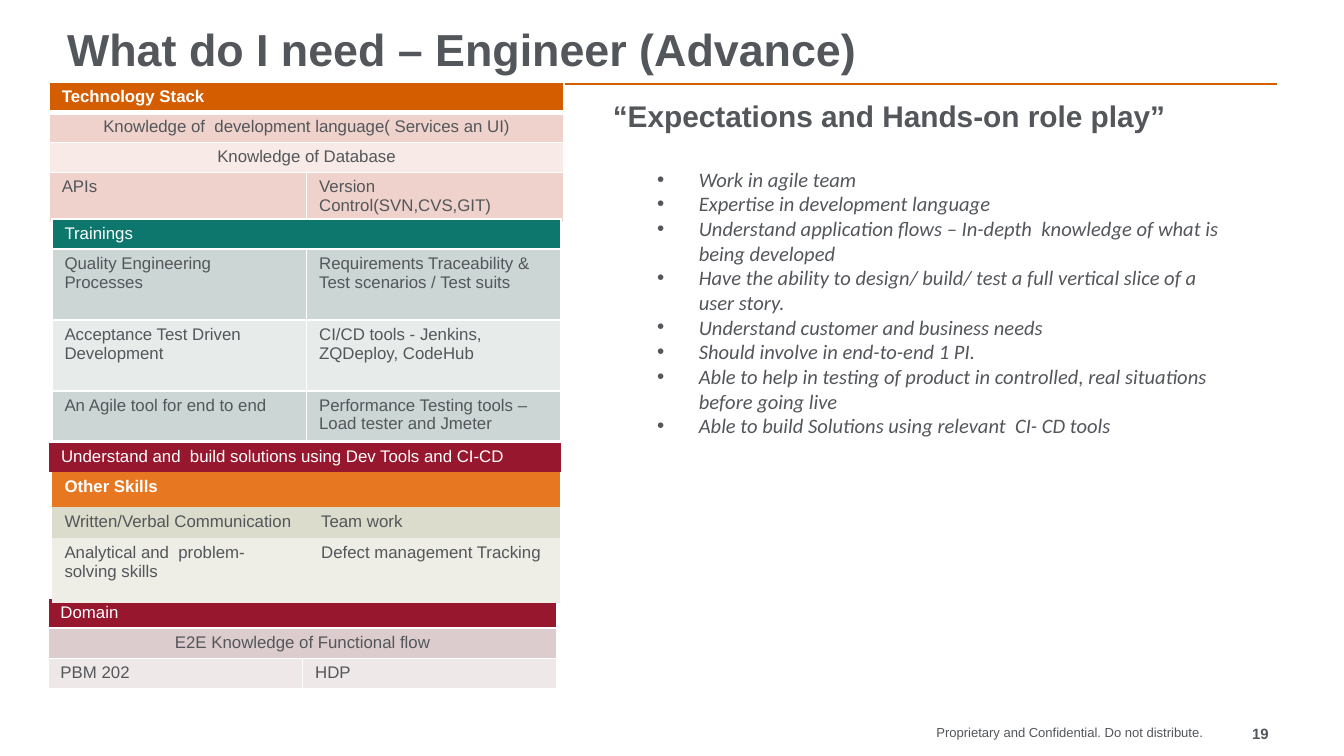
from dataclasses import dataclass

from lxml.etree import SubElement
from pptx import Presentation
from pptx.dml.color import RGBColor
from pptx.enum.shapes import MSO_CONNECTOR
from pptx.enum.text import MSO_ANCHOR, PP_ALIGN
from pptx.oxml import parse_xml
from pptx.oxml.ns import nsdecls, qn
from pptx.util import Emu, Inches, Pt

COLORS = {
    "text": "53565A", "white": "FFFFFF", "rule": "D45D00",
    "orange": "E87722", "teal": "0D776E", "maroon": "96172E",
    "rose": "EFD2CC", "pale rose": "F7EAE7",
    "mist": "CCD6D5", "pale mist": "E7ECEB",
    "olive": "DBDCCC", "pale olive": "EEEEE7",
    "mauve": "DDCCCD", "pale mauve": "EFE8E8",
}
SLIDE_WIDTH = Inches(10)
SLIDE_HEIGHT = Emu(SLIDE_WIDTH * 9 // 16)
GRID_COLUMNS, GRID_ROWS = 100, 56.25


def across(columns: float) -> Emu:
    return Emu(round(SLIDE_WIDTH * columns / GRID_COLUMNS))


def down(rows: float) -> Emu:
    return Emu(round(SLIDE_HEIGHT * rows / GRID_ROWS))


@dataclass
class Box:
    left: float
    top: float
    width: float
    height: float

    def lengths(self) -> tuple:
        return across(self.left), down(self.top), across(self.width), down(self.height)


@dataclass
class Style:
    size: float
    bold: bool = False
    italic: bool = False
    font: str = "Arial"
    color: str = "text"


@dataclass
class Row:
    height: float
    fill: str
    texts: tuple  # a single text spans the whole table


@dataclass
class SkillTable:
    left: float
    top: float
    columns: tuple
    rows: tuple
    bold_header: bool = False
    borders: bool = True
    header_line: float = 1


TABLES = (
    SkillTable(3.6, 32.9, (38.2,), (
        Row(2.25, "maroon", ("Understand and  build solutions using Dev Tools and CI-CD",)),
    )),
    SkillTable(3.65, 6.1, (19.15, 19.15), (
        Row(2.25, "rule", ("Technology Stack",)),
        Row(2.25, "rose", ("Knowledge of  development language( Services an UI)",)),
        Row(2.25, "pale rose", ("Knowledge of Database",)),
        Row(3.7, "rose", ("APIs", "Version Control(SVN,CVS,GIT)")),
    ), bold_header=True, header_line=3),
    SkillTable(3.55, 44.5, (18.95, 18.95), (
        Row(2.25, "maroon", ("Domain",)),
        Row(2.25, "mauve", ("E2E Knowledge of Functional flow",)),
        Row(2.25, "pale mauve", ("PBM 202", "HDP")),
    )),
    SkillTable(3.85, 35.15, (19.1, 18.7), (
        Row(2.6, "orange", ("Other Skills",)),
        Row(2.3, "olive", ("Written/Verbal Communication", "Team work")),
        Row(4.8, "pale olive", ("Analytical and  problem-solving skills",
                                "Defect management Tracking")),
    ), bold_header=True, borders=False),
    SkillTable(3.85, 16.3, (18.95, 18.95), (
        Row(2.25, "teal", ("Trainings",)),
        Row(5.27, "mist", ("Quality Engineering Processes",
                           "Requirements Traceability & Test scenarios / Test suits")),
        Row(5.27, "pale mist", ("Acceptance Test Driven Development",
                                "CI/CD tools - Jenkins, ZQDeploy, CodeHub")),
        Row(3.7, "mist", ("An Agile tool for end to end",
                          "Performance Testing tools – Load tester and Jmeter")),
    )),
)

EXPECTATIONS = (
    "Work in agile team",
    "Expertise in development language",
    "Understand application flows – In-depth  knowledge of what is being developed",
    "Have the ability to design/ build/ test a full vertical slice of a user story.",
    "Understand customer and business needs",
    "Should involve in end-to-end 1 PI.",
    "Able to help in testing of product in controlled, real situations before going live",
    "Able to build Solutions using relevant  CI- CD tools",
)


def color(name: str) -> RGBColor:
    return RGBColor.from_string(COLORS[name])


def add_run(paragraph, text: str, style: Style) -> None:
    run = paragraph.add_run()
    run.text = text
    font = run.font
    font.name, font.size = style.font, Pt(style.size)
    font.bold, font.italic = style.bold, style.italic
    font.color.rgb = color(style.color)


def add_bullet(paragraph) -> None:
    properties = paragraph._p.get_or_add_pPr()
    properties.set("marL", str(across(3.1)))
    properties.set("indent", str(-across(3.1)))
    SubElement(properties, qn("a:buFont")).set("typeface", "Arial")
    SubElement(properties, qn("a:buChar")).set("char", "•")


def add_text(slide, box: Box, texts: tuple, style: Style, align=PP_ALIGN.LEFT,
             anchor=MSO_ANCHOR.TOP, bullets: bool = False) -> None:
    frame = slide.shapes.add_textbox(*box.lengths()).text_frame
    frame.word_wrap = True
    frame.vertical_anchor = anchor
    frame.margin_left = frame.margin_right = 0
    frame.margin_top = frame.margin_bottom = 0
    for index, text in enumerate(texts):
        paragraph = frame.add_paragraph() if index else frame.paragraphs[0]
        paragraph.alignment = align
        if bullets:
            add_bullet(paragraph)
        add_run(paragraph, text, style)


def set_borders(cell, visible: bool, bottom: float) -> None:
    properties = cell._tc.get_or_add_tcPr()
    paint = (f'<a:solidFill><a:srgbClr val="{COLORS["white"]}"/></a:solidFill>'
             if visible else "<a:noFill/>")
    widths = {"lnL": 1, "lnR": 1, "lnT": 1, "lnB": bottom}
    for index, (side, width) in enumerate(widths.items()):
        properties.insert(index, parse_xml(
            f'<a:{side} {nsdecls("a")} w="{Pt(width)}">{paint}</a:{side}>'))


def add_skill_table(slide, skills: SkillTable) -> None:
    box = Box(skills.left, skills.top, sum(skills.columns),
              sum(row.height for row in skills.rows))
    table = slide.shapes.add_table(
        len(skills.rows), len(skills.columns), *box.lengths()).table
    for column, width in zip(table.columns, skills.columns):
        column.width = across(width)
    for index, row in enumerate(skills.rows):
        header = index == 0
        spans = len(row.texts) < len(skills.columns)
        style = Style(9, bold=header and skills.bold_header,
                      color="white" if header else "text")
        table.rows[index].height = down(row.height)
        cells = list(table.rows[index].cells)
        for cell in cells:
            cell.margin_left = cell.margin_right = across(0.95)
            cell.margin_top = cell.margin_bottom = down(0.37)
            cell.fill.solid()
            cell.fill.fore_color.rgb = color(row.fill)
            set_borders(cell, skills.borders, skills.header_line if header else 1)
        if spans:
            cells[0].merge(cells[-1])
        for cell, text in zip(cells, row.texts):
            paragraph = cell.text_frame.paragraphs[0]
            if spans and not header:
                paragraph.alignment = PP_ALIGN.CENTER
            add_run(paragraph, text, style)


def main() -> None:
    presentation = Presentation()
    presentation.slide_width, presentation.slide_height = SLIDE_WIDTH, SLIDE_HEIGHT
    slide = presentation.slides.add_slide(presentation.slide_layouts[6])

    # Rule under the title
    rule = slide.shapes.add_connector(
        MSO_CONNECTOR.STRAIGHT, across(5), down(6.25), across(95), down(6.25))
    rule.line.color.rgb = color("rule")
    rule.line.width = Pt(1)
    SubElement(rule._element.spPr, qn("a:effectLst"))

    # Footer and title
    add_text(slide, Box(52.5, 53.9, 37, 1.7),
             ("Proprietary and Confidential. Do not distribute.",), Style(7), PP_ALIGN.RIGHT)
    add_text(slide, Box(89.4, 53.9, 5, 1.7), ("19",), Style(8, bold=True), PP_ALIGN.RIGHT)
    add_text(slide, Box(5, 1.55, 90, 4.1), ("What do I need – Engineer (Advance)",),
             Style(24, bold=True), anchor=MSO_ANCHOR.BOTTOM)

    # Skill tables on the left
    for skills in TABLES:
        add_skill_table(slide, skills)

    # Expectations on the right
    add_text(slide, Box(45.6, 6.75, 49.7, 3.7), ("“Expectations and Hands-on role play”",),
             Style(16, bold=True), anchor=MSO_ANCHOR.MIDDLE)
    add_text(slide, Box(48.9, 12.4, 43, 26.5), EXPECTATIONS,
             Style(11, italic=True, font="Calibri"), bullets=True)

    presentation.save("out.pptx")


if __name__ == "__main__":
    main()
